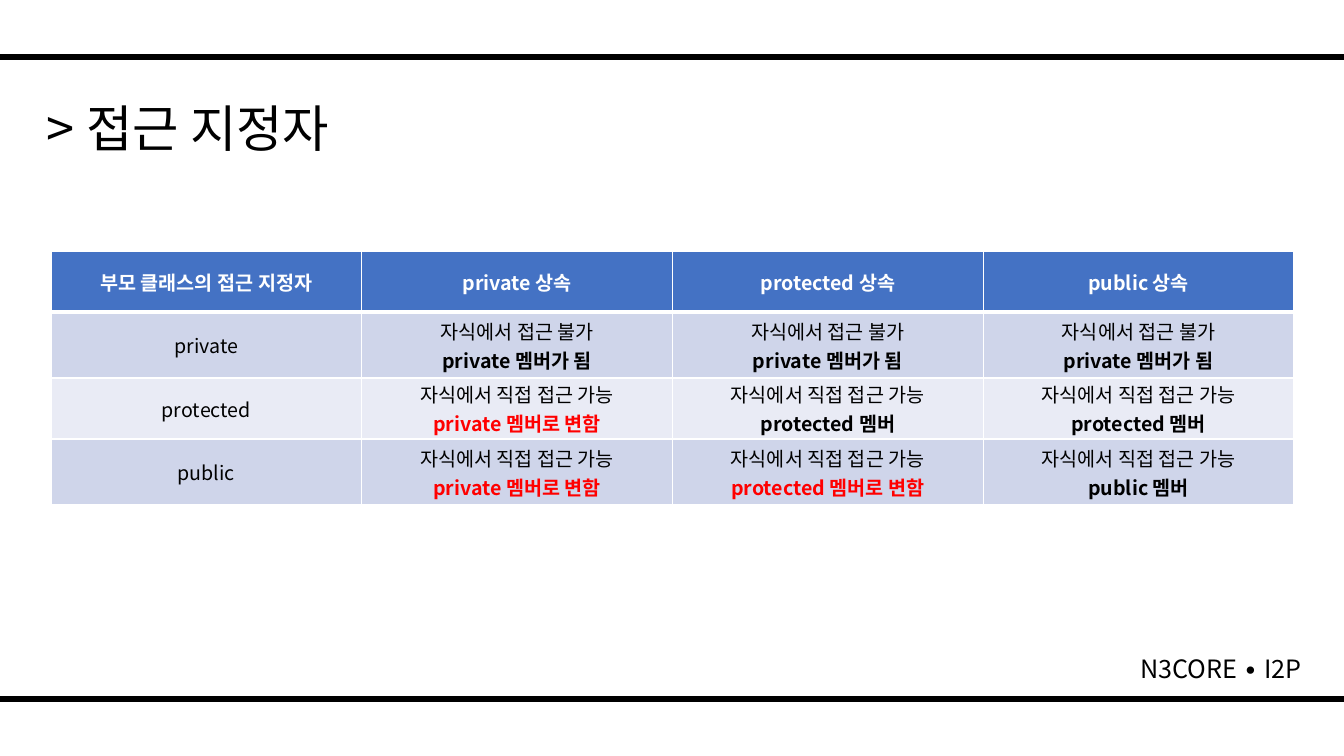
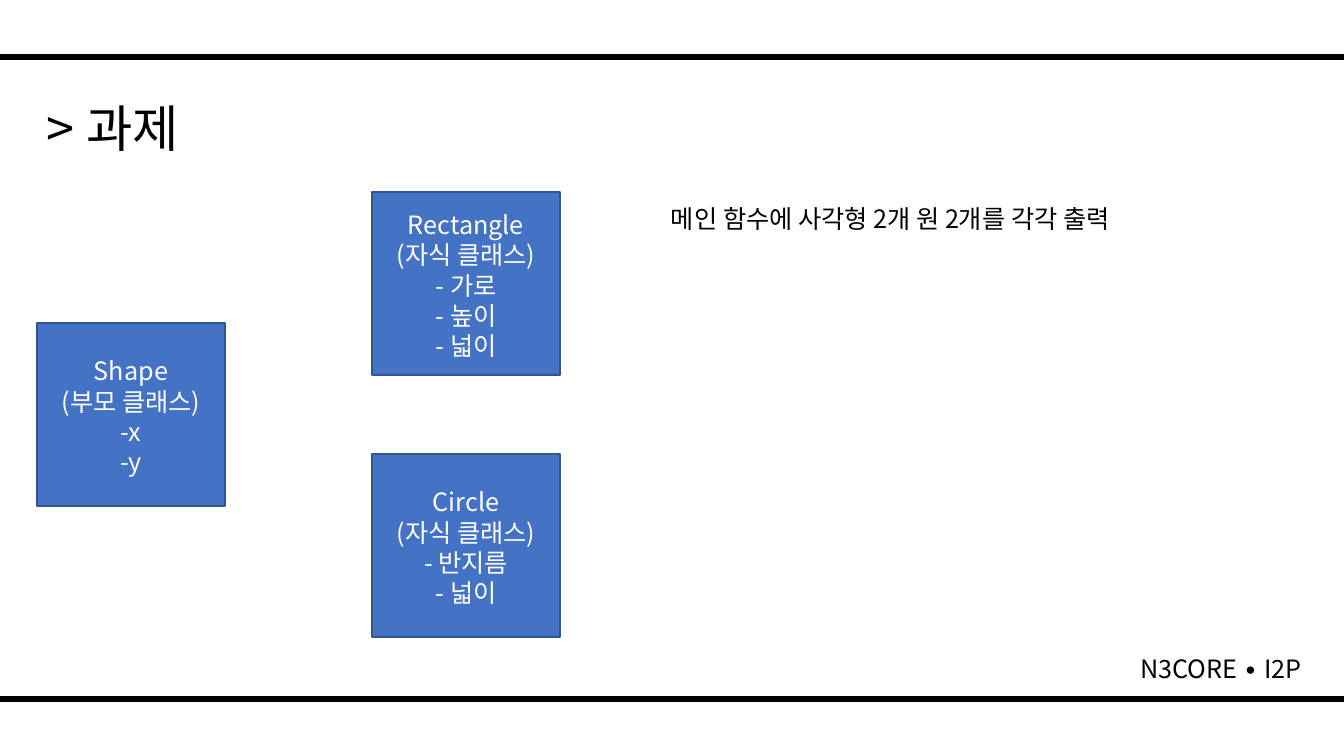
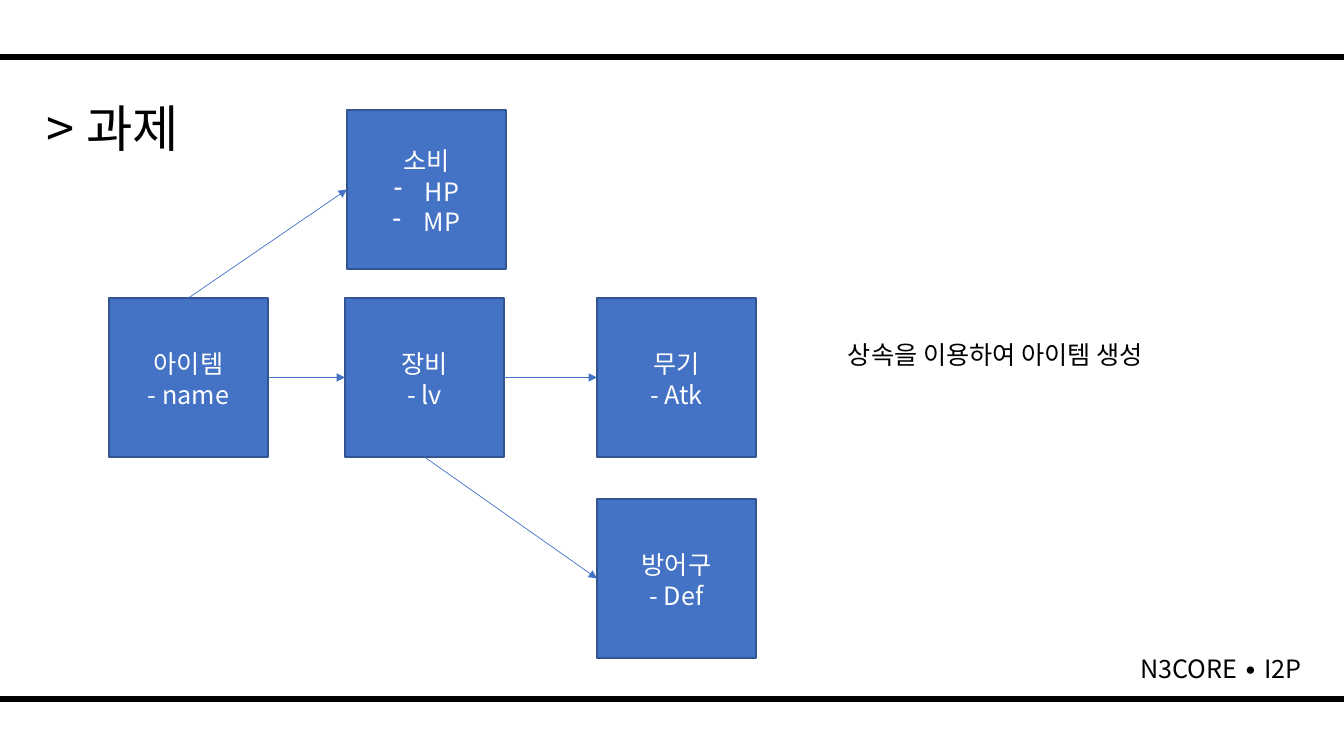
import pptx
import pptx.dml.color
import pptx.enum.shapes
import pptx.enum.text
import pptx.oxml
import pptx.oxml.ns
import pptx.util

PX = 9071  # EMU in one px, 1344 px across the slide
FONT = "Noto Sans CJK KR"
BLACK, WHITE, RED = "000000", "FFFFFF", "FF0000"
BLUE, NAVY = "4472C4", "325491"
BANDS = ["CFD5EA", "E9EBF5"]
FOOTER = "N3CORE ∙ I2P"

CENTER = pptx.enum.text.PP_ALIGN.CENTER
LEFT = pptx.enum.text.PP_ALIGN.LEFT
MIDDLE = pptx.enum.text.MSO_ANCHOR.MIDDLE
RECTANGLE = pptx.enum.shapes.MSO_SHAPE.RECTANGLE
STRAIGHT = pptx.enum.shapes.MSO_CONNECTOR.STRAIGHT
NS = pptx.oxml.ns.nsdecls("a")

BODY = {"size": 18, "leading": 21.6, "align": LEFT, "color": BLACK, "bold": False}
TITLE = {**BODY, "size": 36, "leading": 43.2}
BOX = {**BODY, "align": CENTER, "color": WHITE}
CELL = {**BODY, "size": 14, "leading": 20.7, "align": CENTER}
FRAME = {"word_wrap": True, "margin_left": 10 * PX, "margin_right": 10 * PX,
         "margin_top": 8 * PX, "margin_bottom": 5 * PX}


def rgb(value):
    return pptx.dml.color.RGBColor.from_string(value)


def write(frame, lines):
    """Fill a text frame with (text, style) lines."""
    for number, (text, style) in enumerate(lines):
        paragraph = frame.add_paragraph() if number else frame.paragraphs[0]
        paragraph.alignment = style["align"]
        paragraph.line_spacing = pptx.util.Pt(style["leading"])
        if "bullet" in style:
            properties = paragraph._p.get_or_add_pPr()
            properties.set("marL", str(31 * PX))
            properties.set("indent", str(-31 * PX))
            properties.append(pptx.oxml.parse_xml(
                f'<a:buChar {NS} char="{style["bullet"]}"/>'))
        run = paragraph.add_run()
        run.text = text
        font_values = {"name": FONT, "size": pptx.util.Pt(style["size"]), "bold": style["bold"]}
        for key, value in font_values.items():
            setattr(run.font, key, value)
        run.font.color.rgb = rgb(style["color"])
        latin = run._r.rPr.find(pptx.oxml.ns.qn("a:latin"))
        latin.addnext(pptx.oxml.parse_xml(f'<a:ea {NS} typeface="{FONT}"/>'))


deck = pptx.Presentation()
deck.slide_width, deck.slide_height = 1344 * PX, 756 * PX

# Content of the three slides
DASH = {**BOX, "bullet": "-"}
pages = [
    {"title": "접근 지정자", "title_width": 488},
    {"title": "과제", "title_width": 1270,
     "box_size": (188, 183),
     "boxes": [
         (37, 323, [("Shape", BOX), ("(부모 클래스)", BOX), ("-x", BOX), ("-y", BOX)]),
         (372, 192, [("Rectangle", BOX), ("(자식 클래스)", BOX),
                     ("- 가로", BOX), ("- 높이", BOX), ("- 넓이", BOX)]),
         (372, 454, [("Circle", BOX), ("(자식 클래스)", BOX), ("- 반지름", BOX), ("- 넓이", BOX)]),
     ],
     "task": (661, 195, 622, "메인 함수에 사각형 2개 원 2개를 각각 출력")},
    {"title": "과제", "title_width": 1270,
     "box_size": (159, 159),
     "boxes": [
         (109, 298, [("아이템", BOX), ("- name", BOX)]),
         (347, 110, [("소비", BOX), ("HP", DASH), ("MP", DASH)]),
         (345, 298, [("장비", BOX), ("- lv", BOX)]),
         (597, 298, [("무기", BOX), ("- Atk", BOX)]),
         (597, 499, [("방어구", BOX), ("- Def", BOX)]),
     ],
     # parent, its side, child, its side
     "arrows": [(0, 0, 1, 1), (0, 3, 2, 1), (2, 3, 3, 1), (2, 2, 4, 1)],
     "task": (838, 331, 353, "상속을 이용하여 아이템 생성")},
]

slides = []
for page in pages:
    slide = deck.slides.add_slide(deck.slide_layouts[6])
    slides.append(slide)

    # Black bands, wider than the slide so that only top and bottom show
    bands = slide.shapes.add_shape(RECTANGLE, -56 * PX, 57 * PX, 1440 * PX, 642 * PX)
    bands.shadow.inherit = False
    bands.fill.background()
    bands.line.color.rgb = rgb(BLACK)
    bands.line.width = pptx.util.Pt(4)

    # Footer, title and task text
    labels = [(1130, 645, 190, 40, FOOTER, BODY),
              (37, 89, page["title_width"], 72, "> " + page["title"], TITLE)]
    if "task" in page:
        left, top, width, text = page["task"]
        labels.append((left, top, width, 40, text, BODY))
    for left, top, width, height, text, style in labels:
        label = slide.shapes.add_textbox(left * PX, top * PX, width * PX, height * PX)
        for key, value in FRAME.items():
            setattr(label.text_frame, key, value)
        write(label.text_frame, [(text, style)])

    # Class boxes
    classes = []
    for left, top, lines in page.get("boxes", []):
        width, height = page["box_size"]
        box = slide.shapes.add_shape(RECTANGLE, left * PX, top * PX, width * PX, height * PX)
        box.shadow.inherit = False
        box.fill.solid()
        box.fill.fore_color.rgb = rgb(BLUE)
        box.line.color.rgb = rgb(NAVY)
        box.line.width = pptx.util.Pt(1)
        for key, value in {**FRAME, "vertical_anchor": MIDDLE}.items():
            setattr(box.text_frame, key, value)
        write(box.text_frame, lines)
        classes.append(box)

    # Inheritance arrows
    for parent, parent_side, child, child_side in page.get("arrows", []):
        arrow = slide.shapes.add_connector(STRAIGHT, 0, 0, 0, 0)
        arrow.begin_connect(classes[parent], parent_side)
        arrow.end_connect(classes[child], child_side)
        arrow.line.color.rgb = rgb(BLUE)
        arrow.line.width = pptx.util.Pt(0.5)
        arrow.line._get_or_add_ln().append(
            pptx.oxml.parse_xml(f'<a:tailEnd {NS} type="triangle"/>'))
        arrow._element.spPr.append(pptx.oxml.parse_xml(f"<a:effectLst {NS}/>"))

# Table of access specifiers on the first slide
HEAD = {**CELL, "color": WHITE, "bold": True}
KEPT = {**CELL, "bold": True}
CHANGED = {**KEPT, "color": RED}
hidden = [("자식에서 접근 불가", CELL), ("private 멤버가 됨", KEPT)]
direct = ("자식에서 직접 접근 가능", CELL)
to_private = [direct, ("private 멤버로 변함", CHANGED)]
to_protected = [direct, ("protected 멤버로 변함", CHANGED)]
stays_protected = [direct, ("protected 멤버", KEPT)]
stays_public = [direct, ("public 멤버", KEPT)]
headings = ["부모 클래스의 접근 지정자", "private 상속", "protected 상속", "public 상속"]
rows = [
    [[(heading, HEAD)] for heading in headings],
    [[("private", CELL)], hidden, hidden, hidden],
    [[("protected", CELL)], to_private, stays_protected, stays_protected],
    [[("public", CELL)], to_private, to_protected, stays_public],
]
row_heights = [61, 66, 61, 66]
access = slides[0].shapes.add_table(
    len(rows), len(headings), 51 * PX, 251 * PX, 1243 * PX, sum(row_heights) * PX).table
for column in access.columns:
    column.width = 1243 * PX // len(headings)
for r, row in enumerate(rows):
    access.rows[r].height = row_heights[r] * PX
    for c, lines in enumerate(row):
        cell = access.cell(r, c)
        cell_values = {"vertical_anchor": MIDDLE, "margin_top": PX, "margin_bottom": PX}
        for key, value in cell_values.items():
            setattr(cell, key, value)
        # The seam below the header is thicker than the other borders
        widths = {"L": 1, "R": 1, "T": 3 if r == 1 else 1, "B": 3 if r == 0 else 1}
        for side, points in widths.items():
            cell._tc.get_or_add_tcPr().append(pptx.oxml.parse_xml(
                f'<a:ln{side} {NS} w="{points * 12700}"><a:solidFill>'
                f'<a:srgbClr val="{WHITE}"/></a:solidFill></a:ln{side}>'))
        cell.fill.solid()
        cell.fill.fore_color.rgb = rgb(BANDS[(r - 1) % 2] if r else BLUE)
        write(cell.text_frame, lines)

deck.save("out.pptx")
